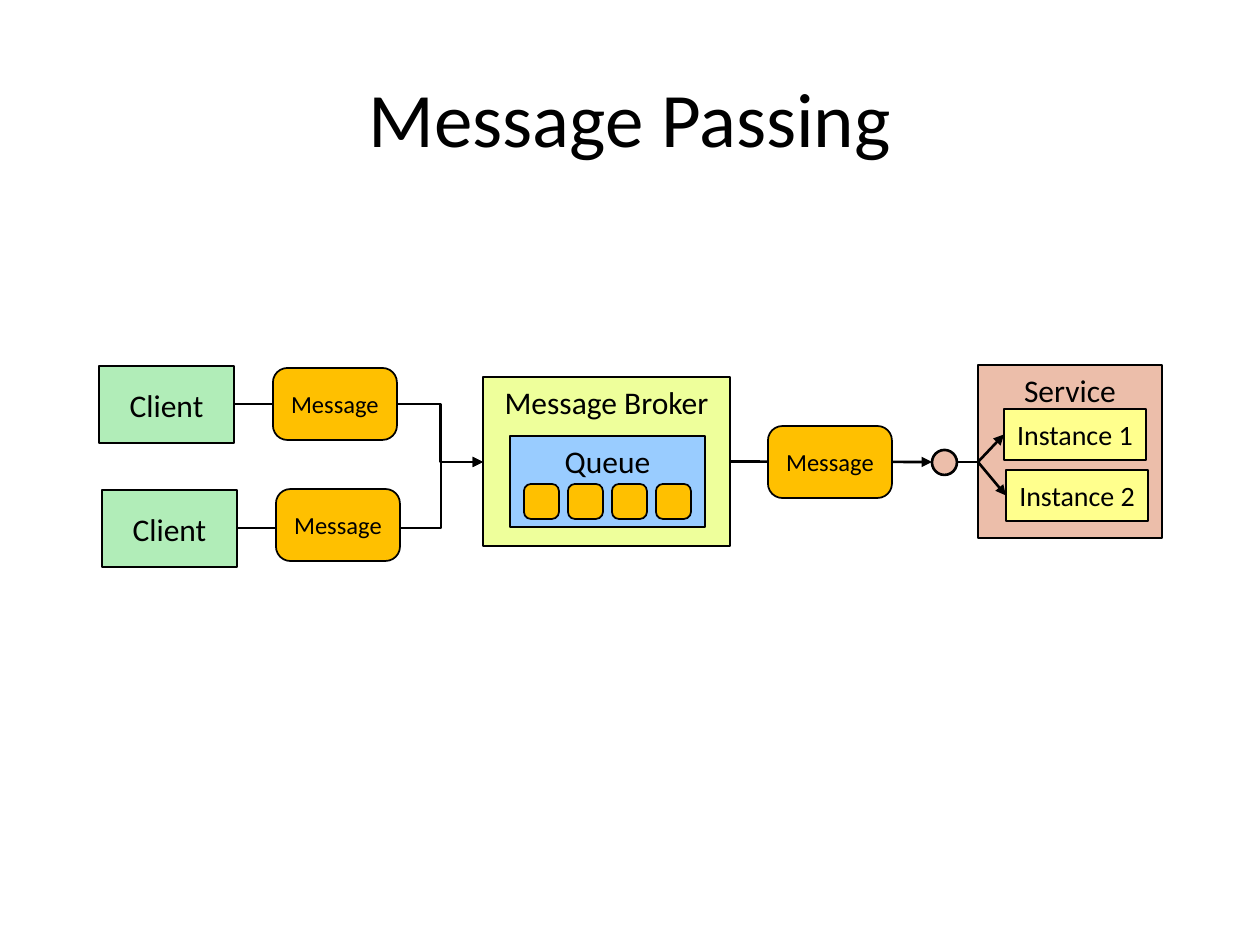
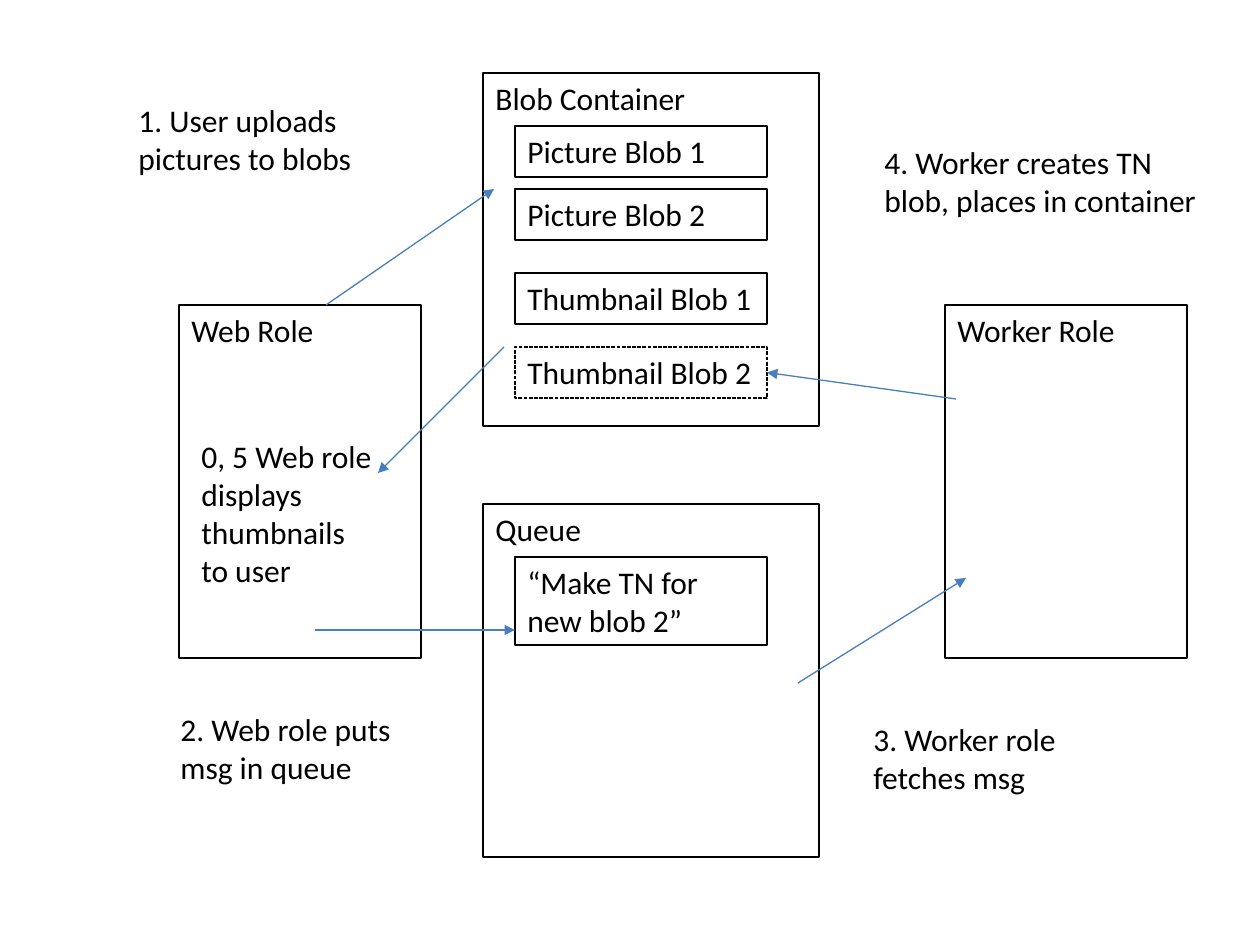
from pptx import Presentation
from pptx.dml.color import RGBColor
from pptx.enum.dml import MSO_LINE
from pptx.enum.shapes import MSO_CONNECTOR, MSO_SHAPE
from pptx.enum.text import MSO_ANCHOR, PP_ALIGN
from pptx.oxml.ns import qn
from pptx.util import Emu, Pt
from lxml import etree

RECT, ROUNDED, OVAL = MSO_SHAPE.RECTANGLE, MSO_SHAPE.ROUNDED_RECTANGLE, MSO_SHAPE.OVAL
PROCESS = MSO_SHAPE.FLOWCHART_PROCESS
STRAIGHT, ELBOW = MSO_CONNECTOR.STRAIGHT, MSO_CONNECTOR.ELBOW
LEFT, CENTER = PP_ALIGN.LEFT, PP_ALIGN.CENTER
TOP, MIDDLE = MSO_ANCHOR.TOP, MSO_ANCHOR.MIDDLE
DASHED = MSO_LINE.SQUARE_DOT

EMU_PER_PX = 914400 / 126
FONT = "Calibri"
BLACK, FLOW_BLUE = "000000", "4A7EBB"
CLIENT_GREEN, MESSAGE_ORANGE = "B1EDB8", "FFC000"
BROKER_LIME, QUEUE_BLUE = "EEFF9B", "99CCFF"
SERVICE_PINK, INSTANCE_YELLOW = "ECBEAA", "FFFF8D"
CORNER = 0.2
SITE_LEFT, SITE_RIGHT = 1, 3


def px(length):
    return Emu(round(length * EMU_PER_PX))


def color(value):
    return RGBColor.from_string(value)


def write(shape, text, size=18, align=LEFT, anchor=TOP, wrap=True, side_inset=None):
    frame = shape.text_frame
    frame.word_wrap = wrap
    frame.vertical_anchor = anchor
    if side_inset is not None:
        frame.margin_left = frame.margin_right = px(side_inset)
    paragraph = frame.paragraphs[0]
    paragraph.alignment = align
    run = paragraph.add_run()
    run.text = text
    run.font.size = Pt(size)
    run.font.name = FONT
    run.font.color.rgb = color(BLACK)


def add_box(slide, box, kind=RECT, fill=None, weight=1.5, corner=None, dash=None):
    shape = slide.shapes.add_shape(kind, *map(px, box))
    shape.shadow.inherit = False
    if fill:
        shape.fill.solid()
        shape.fill.fore_color.rgb = color(fill)
    else:
        shape.fill.background()
    shape.line.color.rgb = color(BLACK)
    shape.line.width = Pt(weight)
    if dash:
        shape.line.dash_style = dash
    if corner is not None:
        shape.adjustments[0] = corner
    return shape


def add_caption(slide, box, text, **style):
    write(slide.shapes.add_textbox(*map(px, box)), text, **style)


def add_flow(slide, start, end, kind=STRAIGHT, line=BLACK, weight=1.5, arrow=True, bend=None):
    flow = slide.shapes.add_connector(kind, *map(px, start + end))
    flow.line.color.rgb = color(line)
    flow.line.width = Pt(weight)
    properties = flow.element.spPr
    if arrow:
        etree.SubElement(properties.find(qn("a:ln")), qn("a:tailEnd"), type="triangle")
    if bend is not None:
        guides = properties.find(qn("a:prstGeom")).get_or_add_avLst()
        etree.SubElement(guides, qn("a:gd"), name="adj1", fmla=f"val {round(bend * 100000)}")
    etree.SubElement(properties, qn("a:effectLst"))
    return flow


def add_message(slide, left, top):
    message = add_box(slide, (left, top, 124, 72), ROUNDED, MESSAGE_ORANGE, 1, CORNER)
    write(message, "Message", size=14, align=CENTER, anchor=MIDDLE, side_inset=0)


def add_client_lane(slide, left, top, message_shift, target):
    width, height = 135, 77
    client = add_box(slide, (left, top, width, height), fill=CLIENT_GREEN)
    write(client, "Client", align=CENTER, anchor=MIDDLE, wrap=False)
    add_flow(slide, (left + width, top + height // 2), target, ELBOW, bend=0.83)
    add_message(slide, left + 174, top + message_shift)


def add_broker(slide, left, top):
    broker = add_box(slide, (left, top, 247, 169), ROUNDED, BROKER_LIME, corner=0)
    write(broker, "Message Broker", align=CENTER)
    queue_left, queue_top = left + 27, top + 59
    queue = add_box(slide, (queue_left, queue_top, 195, 91), PROCESS, QUEUE_BLUE, 1)
    write(queue, "Queue", align=CENTER)
    for slot in range(4):
        add_box(slide, (queue_left + 14 + 44 * slot, queue_top + 48, 35, 35),
                ROUNDED, MESSAGE_ORANGE, 1, CORNER)
    return broker


def add_service(slide, left, top):
    service = add_box(slide, (left, top, 184, 173), fill=SERVICE_PINK)
    write(service, "Service", align=CENTER, wrap=False)
    entry = (left, top + 97)
    add_box(slide, (left - 46, top + 85, 25, 25), OVAL, SERVICE_PINK)
    add_flow(slide, entry, (left - 21, top + 97), arrow=False)
    for number, (shift_x, shift_y) in enumerate([(26, 44), (28, 105)], 1):
        corner = (left + shift_x, top + shift_y)
        instance = add_box(slide, corner + (142, 51), fill=INSTANCE_YELLOW)
        write(instance, f"Instance {number}", size=16, align=CENTER, anchor=MIDDLE, wrap=False)
        add_flow(slide, entry, corner).end_connect(instance, SITE_LEFT)


def build_message_passing(slide):
    add_caption(slide, (63, 38, 1134, 158), "Message Passing",
                size=44, align=CENTER, anchor=MIDDLE)
    broker_entry = (483, 462)
    add_client_lane(slide, 99, 366, 2, broker_entry)
    add_client_lane(slide, 102, 490, -1, broker_entry)
    broker = add_broker(slide, 483, 377)
    add_flow(slide, (730, 462), (932, 462)).begin_connect(broker, SITE_RIGHT)
    add_message(slide, 768, 426)
    add_service(slide, 978, 365)


def add_panel(slide, box, heading, items=()):
    left, top = box[:2]
    write(add_box(slide, box, weight=0.75), heading)
    entries = []
    for shift, height, text, dash in items:
        entry = add_box(slide, (left + 32, top + shift, 252, height), weight=0.75, dash=dash)
        write(entry, text)
        entries.append(entry)
    return entries


def build_thumbnail_flow(slide):
    add_panel(slide, (179, 305, 242, 353), "Web Role")
    add_panel(slide, (945, 305, 242, 353), "Worker Role")
    blobs = add_panel(slide, (483, 73, 336, 353), "Blob Container", [
        (53, 51, "Picture Blob 1", None),
        (116, 51, "Picture Blob 2", None),
        (200, 51, "Thumbnail Blob 1", None),
        (274, 51, "Thumbnail Blob 2", DASHED),
    ])
    add_panel(slide, (483, 504, 336, 353), "Queue",
              [(53, 88, "“Make TN for new blob 2”", None)])

    for box, step in [
        ((126, 95, 273, 88), "1. User uploads pictures to blobs"),
        ((168, 704, 242, 88), "2. Web role puts msg in queue"),
        ((861, 714, 242, 88), "3. Worker role fetches msg"),
        ((872, 137, 347, 88), "4. Worker creates TN blob, places in container"),
        ((189, 431, 199, 164), "0, 5 Web role displays thumbnails to user"),
    ]:
        add_caption(slide, box, step)

    for start, end in [
        ((326, 305), (494, 189)),
        ((315, 630), (515, 630)),
        ((798, 683), (966, 578)),
        ((504, 347), (378, 473)),
    ]:
        add_flow(slide, start, end, line=FLOW_BLUE, weight=0.75)
    thumbnail_write = add_flow(slide, (956, 399), (767, 372), line=FLOW_BLUE, weight=0.75)
    thumbnail_write.end_connect(blobs[-1], SITE_RIGHT)


def main():
    deck = Presentation()
    deck.slide_width, deck.slide_height = px(1260), px(945)
    for build in (build_message_passing, build_thumbnail_flow):
        build(deck.slides.add_slide(deck.slide_layouts[6]))
    deck.save("out.pptx")


if __name__ == "__main__":
    main()
